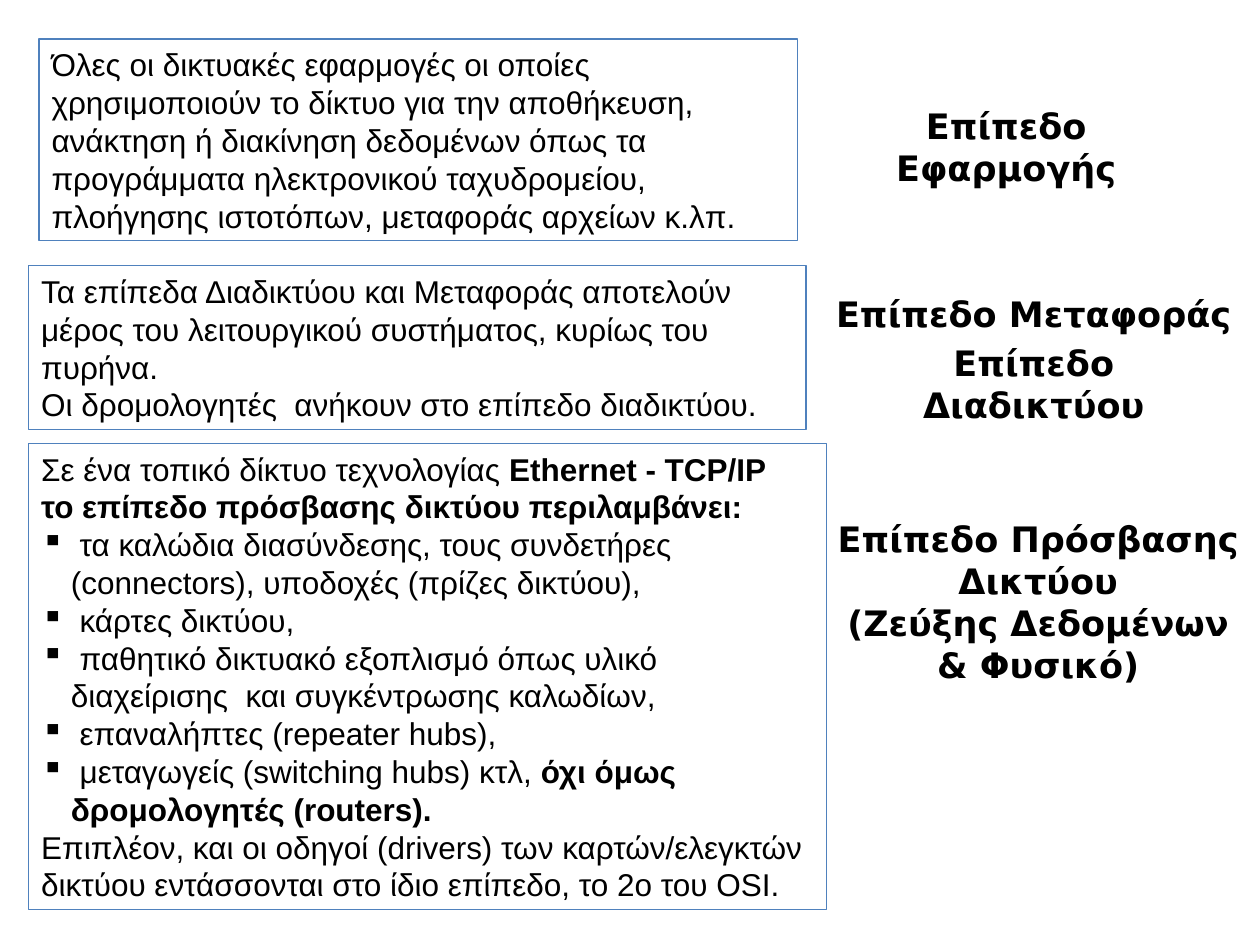
import pptx
import pptx.util
import pptx.dml.color
import pptx.enum.shapes
import pptx.enum.text
import pptx.oxml.ns
import lxml.etree

Cm = pptx.util.Cm
Pt = pptx.util.Pt
BLACK = pptx.dml.color.RGBColor(0x00, 0x00, 0x00)
BLUE = pptx.dml.color.RGBColor(0x4F, 0x81, 0xBD)


class LayerSlide:
    label_font, label_size = "DejaVu Sans", 20
    body_font, body_size = "Arial", 18
    leading = 1.2
    bullet_indent = Cm(0.6)

    def __init__(self, deck):
        self.page = deck.slides.add_slide(deck.slide_layouts[6])

    def prepare_frame(self, box):
        frame = box.text_frame
        frame.word_wrap = True
        frame.auto_size = pptx.enum.text.MSO_AUTO_SIZE.SHAPE_TO_FIT_TEXT
        frame.vertical_anchor = pptx.enum.text.MSO_ANCHOR.TOP
        return frame

    def next_para(self, frame, index):
        return frame.add_paragraph() if index else frame.paragraphs[0]

    def format_para(self, para, font, size, alignment):
        para.alignment = alignment
        para.line_spacing = Pt(size * self.leading)
        para.font.name = font
        para.font.size = Pt(size)
        para.font.color.rgb = BLACK

    def add_bullet(self, para):
        properties = para._p.get_or_add_pPr()
        properties.set("marL", str(self.bullet_indent))
        properties.set("indent", str(-self.bullet_indent))
        bullet = lxml.etree.SubElement(properties, pptx.oxml.ns.qn("a:buChar"))
        bullet.set("char", "▪")

    def label(self, left, top, width, height, lines):
        box = self.page.shapes.add_textbox(Cm(left), Cm(top), Cm(width), Cm(height))
        frame = self.prepare_frame(box)
        for index, line in enumerate(lines):
            para = self.next_para(frame, index)
            para.text = line
            self.format_para(para, self.label_font, self.label_size,
                             pptx.enum.text.PP_ALIGN.CENTER)
            para.font.bold = True

    def description(self, left, top, width, height, paragraphs):
        box = self.page.shapes.add_shape(
            pptx.enum.shapes.MSO_SHAPE.RECTANGLE,
            Cm(left), Cm(top), Cm(width), Cm(height))
        box.shadow.inherit = False
        box.fill.background()
        box.line.color.rgb = BLUE
        box.line.width = Pt(0.75)
        frame = self.prepare_frame(box)
        for index, (bulleted, plain, strong) in enumerate(paragraphs):
            para = self.next_para(frame, index)
            if bulleted:
                self.add_bullet(para)
            self.format_para(para, self.body_font, self.body_size,
                             pptx.enum.text.PP_ALIGN.LEFT)
            para.add_run().text = plain
            if strong:
                span = para.add_run()
                span.text = strong
                span.font.bold = True


LABELS = [
    (16.46, 1.98, 7.65, 1.12, ["Επίπεδο Εφαρμογής"]),
    (16.28, 5.77, 9.12, 1.12, ["Επίπεδο Μεταφοράς"]),
    (16.94, 6.76, 7.8, 1.12, ["Επίπεδο Διαδικτύου"]),
    (16.46, 10.31, 8.94, 3.66,
     ["Επίπεδο Πρόσβασης Δικτύου", "(Ζεύξης Δεδομένων & Φυσικό)"]),
]

DESCRIPTIONS = [
    (0.79, 0.79, 15.29, 4.06, [
        (False, "Όλες οι δικτυακές εφαρμογές οι οποίες χρησιμοποιούν το δίκτυο "
                "για την αποθήκευση, ανάκτηση ή διακίνηση δεδομένων όπως τα "
                "προγράμματα ηλεκτρονικού ταχυδρομείου, πλοήγησης ιστοτόπων, "
                "μεταφοράς αρχείων κ.λπ.", ""),
    ]),
    (0.58, 5.36, 15.67, 3.3, [
        (False, "Τα επίπεδα Διαδικτύου και Μεταφοράς αποτελούν μέρος του "
                "λειτουργικού συστήματος, κυρίως του πυρήνα.", ""),
        (False, "Οι δρομολογητές  ανήκουν στο επίπεδο διαδικτύου.", ""),
    ]),
    (0.58, 8.94, 16.08, 9.4, [
        (False, "Σε ένα τοπικό δίκτυο τεχνολογίας ",
         "Ethernet - TCP/IP  το επίπεδο πρόσβασης δικτύου περιλαμβάνει:"),
        (True, " τα καλώδια διασύνδεσης, τους συνδετήρες (connectors), "
               "υποδοχές (πρίζες δικτύου),", ""),
        (True, " κάρτες δικτύου,", ""),
        (True, " παθητικό δικτυακό εξοπλισμό όπως υλικό διαχείρισης  και "
               "συγκέντρωσης καλωδίων,", ""),
        (True, " επαναλήπτες (repeater hubs),", ""),
        (True, " μεταγωγείς (switching hubs) κτλ, ",
         "όχι όμως δρομολογητές (routers)."),
        (False, "Επιπλέον, και οι οδηγοί (drivers) των καρτών/ελεγκτών δικτύου "
                "εντάσσονται στο ίδιο επίπεδο, το 2ο του OSI.", ""),
    ]),
]


def main():
    deck = pptx.Presentation()
    deck.slide_width = Cm(25.4)
    deck.slide_height = Cm(19.05)
    layers = LayerSlide(deck)
    for label in LABELS:
        layers.label(*label)
    for description in DESCRIPTIONS:
        layers.description(*description)
    deck.save("out.pptx")


if __name__ == "__main__":
    main()
